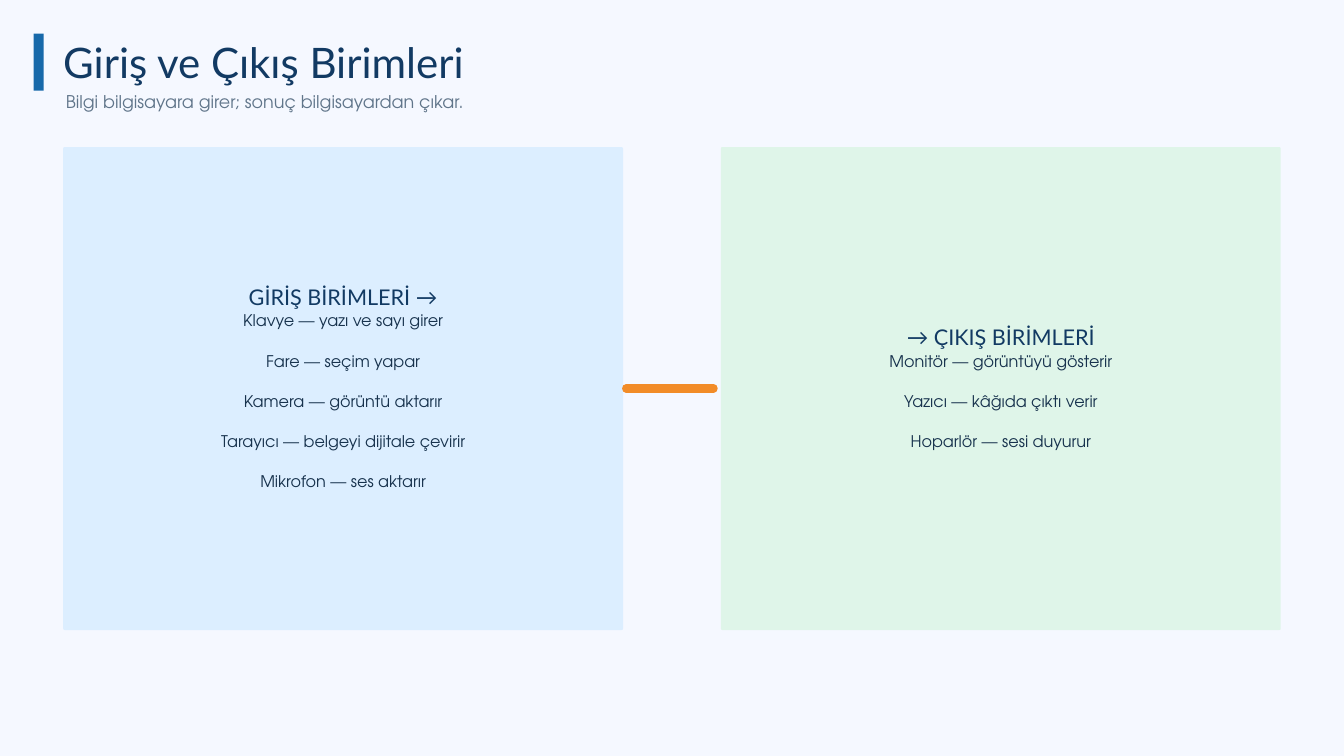
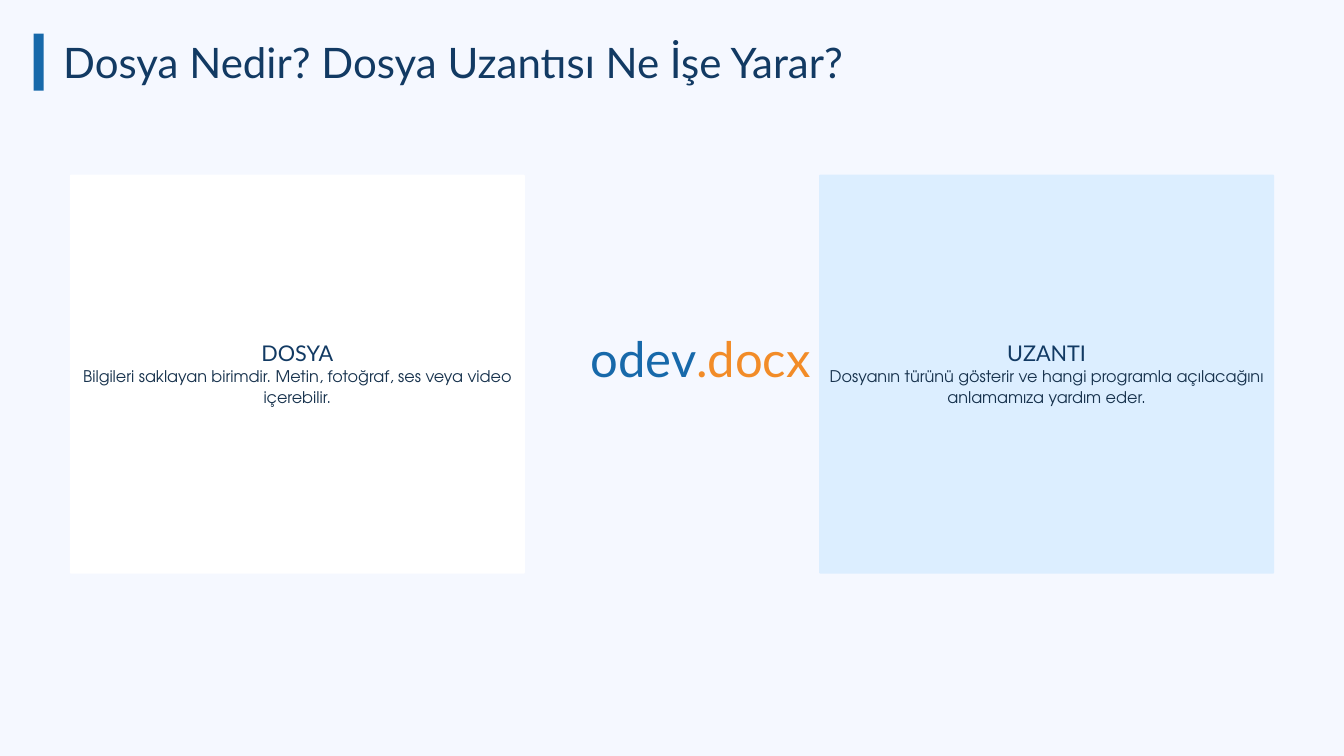
from pptx import Presentation
from pptx.dml.color import RGBColor
from pptx.enum.shapes import MSO_CONNECTOR, MSO_SHAPE
from pptx.enum.text import MSO_ANCHOR, PP_ALIGN
from pptx.oxml.ns import qn
from pptx.util import Cm, Pt
from lxml import etree

LEFT, CENTER, RIGHT = PP_ALIGN.LEFT, PP_ALIGN.CENTER, PP_ALIGN.RIGHT
MIDDLE, TOP = MSO_ANCHOR.MIDDLE, MSO_ANCHOR.TOP
BAR, CARD = MSO_SHAPE.RECTANGLE, MSO_SHAPE.ROUNDED_RECTANGLE
STRAIGHT = MSO_CONNECTOR.STRAIGHT

COLORS = {
    "background": "F5F8FF",
    "navy": "123A63",
    "ink": "17324D",
    "gray": "60758A",
    "blue": "1769AA",
    "orange": "F28C28",
    "sky": "DCEEFF",
    "mint": "DFF5E9",
    "white": "FFFFFF",
}
COLORS = {name: RGBColor.from_string(value) for name, value in COLORS.items()}

STYLES = {
    "title": ("Lato", 45, 47.2, "navy"),
    "subtitle": ("TeX Gyre Adventor", 18.8, 26.2, "gray"),
    "heading": ("Lato", 23.2, 25.6, "navy"),
    "body": ("TeX Gyre Adventor", 17.2, 21.6, "ink"),
    "file name": ("Lato", 52.5, 73.5, "blue"),
    "extension": ("Lato", 52.5, 73.5, "orange"),
}
ITEM_GAP = Pt(21.6)
CARD_RADIUS = 0.06


def write(box, lines, align=LEFT, anchor=TOP, margin=0):
    frame = box.text_frame
    frame.word_wrap = True
    frame.vertical_anchor = anchor
    frame.margin_left = frame.margin_right = Cm(margin)
    frame.margin_top = frame.margin_bottom = Cm(margin)
    frame.text = "\n".join(text for text, style in lines)
    for index, (para, (text, style)) in enumerate(zip(frame.paragraphs, lines)):
        font, size, spacing, color = STYLES[style]
        para.alignment = align
        para.line_spacing = Pt(spacing)
        if index > 1:
            para.space_before = ITEM_GAP
        for span in para.runs:
            span.font.name = font
            span.font.size = Pt(size)
            span.font.color.rgb = COLORS[color]


def add_block(page, kind, left, top, width, height, color):
    block = page.shapes.add_shape(kind, Cm(left), Cm(top), Cm(width), Cm(height))
    block.shadow.inherit = False
    block.fill.solid()
    block.fill.fore_color.rgb = COLORS[color]
    block.line.fill.background()
    return block


SLIDE_WIDTH = 50.8
LESSONS = [
    {
        "title": "Giriş ve Çıkış Birimleri",
        "card": (2.39, 5.56, 21.16, 18.26),
        "cards": [
            ("sky", "GİRİŞ BİRİMLERİ →", [
                "Klavye — yazı ve sayı girer",
                "Fare — seçim yapar",
                "Kamera — görüntü aktarır",
                "Tarayıcı — belgeyi dijitale çevirir",
                "Mikrofon — ses aktarır",
            ]),
            ("mint", "→ ÇIKIŞ BİRİMLERİ", [
                "Monitör — görüntüyü gösterir",
                "Yazıcı — kâğıda çıktı verir",
                "Hoparlör — sesi duyurur",
            ]),
        ],
    },
    {
        "title": "Dosya Nedir? Dosya Uzantısı Ne İşe Yarar?",
        "card": (2.64, 6.6, 17.2, 15.09),
        "cards": [
            ("white", "DOSYA", [
                "Bilgileri saklayan birimdir. Metin, fotoğraf, ses veya video içerebilir.",
            ]),
            ("sky", "UZANTI", [
                "Dosyanın türünü gösterir ve hangi programla açılacağını anlamamıza yardım eder.",
            ]),
        ],
    },
]

deck = Presentation()
deck.slide_width, deck.slide_height = Cm(SLIDE_WIDTH), Cm(28.58)
background = deck.slide_master.background.fill
background.solid()
background.fore_color.rgb = COLORS["background"]

pages = []
for lesson in LESSONS:
    page = deck.slides.add_slide(deck.slide_layouts[6])
    pages.append(page)
    title = page.shapes.add_textbox(Cm(2.39), Cm(1.63), Cm(46.02), Cm(1.73))
    write(title, [(lesson["title"], "title")])
    add_block(page, BAR, 1.27, 1.27, 0.38, 2.16, "blue")

    left, top, width, height = lesson["card"]
    card_lefts = (left, SLIDE_WIDTH - left - width)
    for card_left, (color, heading, items) in zip(card_lefts, lesson["cards"]):
        card = add_block(page, CARD, card_left, top, width, height, color)
        card.adjustments[0] = CARD_RADIUS / min(width, height)
        lines = [(heading, "heading")] + [(item, "body") for item in items]
        write(card, lines, CENTER, MIDDLE, 0.15)

units_page, file_page = pages

subtitle = units_page.shapes.add_textbox(Cm(2.49), Cm(3.3), Cm(39.67), Cm(0.91))
write(subtitle, [("Bilgi bilgisayara girer; sonuç bilgisayardan çıkar.", "subtitle")])

link = units_page.shapes.add_connector(STRAIGHT, Cm(23.67), Cm(14.68), Cm(26.97), Cm(14.68))
link.line.color.rgb = COLORS["orange"]
link.line.width = Pt(9)
link_properties = link._element.spPr
link_properties.find(qn("a:ln")).set("cap", "rnd")
etree.SubElement(link_properties, qn("a:effectLst"))

for left, text, style, align in (
    (20.76, "odev", "file name", RIGHT),
    (26.32, ".docx", "extension", LEFT),
):
    name_part = file_page.shapes.add_textbox(Cm(left), Cm(12.04), Cm(5.56), Cm(2.49))
    write(name_part, [(text, style)], align)

deck.save("out.pptx")
